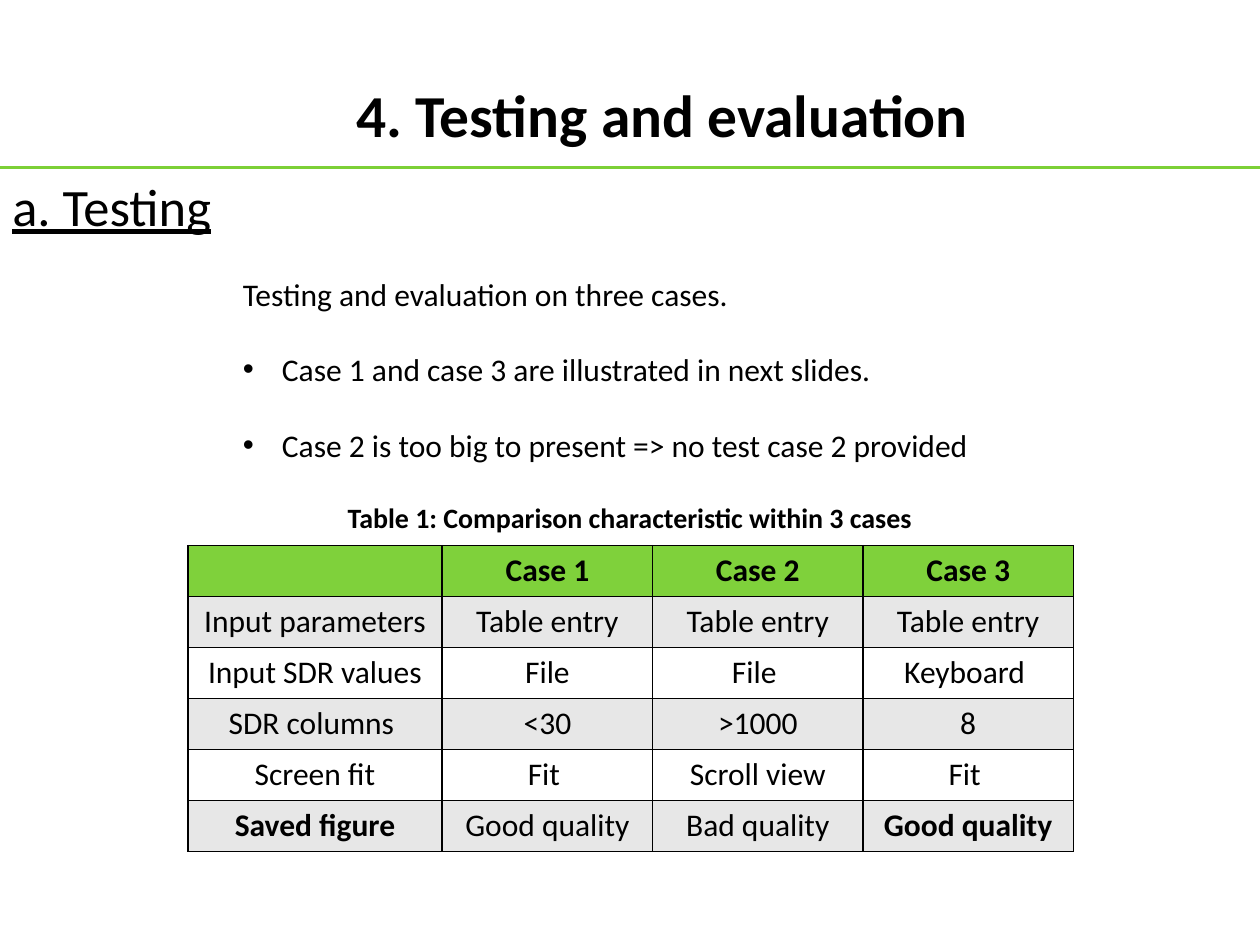
from lxml import etree
from pptx import Presentation
from pptx import util as u
from pptx.dml.color import RGBColor
from pptx.enum import shapes, text
from pptx.oxml.ns import qn

BLACK, GREEN, HEADER, GREY, WHITE = "000000", "7CD036", "7FD13B", "E7E7E7", "FFFFFF"
ROWS = [
    ["", "Case 1", "Case 2", "Case 3"],
    ["Input parameters", "Table entry", "Table entry", "Table entry"],
    ["Input SDR values", "File", "File ", "Keyboard "],
    ["SDR columns ", "<30", ">1000", "8"],
    ["Screen fit", "Fit ", "Scroll view", "Fit "],
    ["Saved figure", "Good quality", "Bad quality", "Good quality"],
]
BOLD_CELLS = {(0, 1), (0, 2), (0, 3), (5, 0), (5, 3)}


def color(value):
    return RGBColor.from_string(value)


class SlideBuilder:
    def __init__(self, slide, font="Calibri"):
        self.slide = slide
        self.font = font

    def paragraph(self, para, words, size, bold=False, underline=False, align=None):
        para.text = words
        para.alignment = align
        para.font.name = self.font
        para.font.size = u.Pt(size)
        para.font.bold = bold
        para.font.underline = underline
        para.font.color.rgb = color(BLACK)

    def line(self, x1, y1, x2, y2, stroke, width):
        rule = self.slide.shapes.add_connector(
            shapes.MSO_CONNECTOR.STRAIGHT, *map(u.Inches, (x1, y1, x2, y2)))
        rule.line.color.rgb = color(stroke)
        rule.line.width = u.Pt(width)
        etree.SubElement(rule._element.spPr, qn("a:effectLst"))

    def text(self, place, lines, size, spacing=None, bulleted=(), grow=True, **style):
        box = self.slide.shapes.add_textbox(*map(u.Inches, place))
        frame = box.text_frame
        frame.word_wrap = True
        if grow:
            frame.auto_size = text.MSO_AUTO_SIZE.SHAPE_TO_FIT_TEXT
        for index, words in enumerate(lines):
            para = frame.add_paragraph() if index else frame.paragraphs[0]
            self.paragraph(para, words, size, **style)
            para.line_spacing = spacing
            if index in bulleted:
                self.bullet(para)
        return frame

    def bullet(self, para, indent=0.31):
        props = para._p.get_or_add_pPr()
        props.set("marL", str(u.Inches(indent)))
        props.set("indent", str(-u.Inches(indent)))
        mark_font = etree.Element(qn("a:buFont"), typeface="Arial")
        mark = etree.Element(qn("a:buChar"), char="•")
        defaults = props.find(qn("a:defRPr"))
        defaults.addprevious(mark_font)
        defaults.addprevious(mark)

    def border(self, cell, stroke, width):
        props = cell._tc.get_or_add_tcPr()
        for index, side in enumerate(("lnL", "lnR", "lnT", "lnB")):
            edge = etree.Element(qn(f"a:{side}"), w=str(u.Pt(width)))
            fill = etree.SubElement(edge, qn("a:solidFill"))
            etree.SubElement(fill, qn("a:srgbClr"), val=stroke)
            props.insert(index, edge)

    def table(self, place, rows, widths, size, bold_cells):
        grid = self.slide.shapes.add_table(
            len(rows), len(widths), *map(u.Inches, place)).table
        for column, width in zip(grid.columns, widths):
            column.width = u.Inches(width)
        for r, row in enumerate(rows):
            shade = HEADER if r == 0 else GREY if r % 2 else WHITE
            for c, words in enumerate(row):
                cell = grid.cell(r, c)
                self.paragraph(cell.text_frame.paragraphs[0], words, size,
                               bold=(r, c) in bold_cells, align=text.PP_ALIGN.CENTER)
                cell.fill.solid()
                cell.fill.fore_color.rgb = color(shade)
                self.border(cell, BLACK, 1)


def main():
    deck = Presentation()
    deck.slide_width, deck.slide_height = u.Inches(10), u.Inches(7.5)
    page = SlideBuilder(deck.slides.add_slide(deck.slide_layouts[6]))
    center = text.PP_ALIGN.CENTER

    page.line(0, 1.33, 10, 1.33, GREEN, 1.5)
    title = page.text((1.67, 0.48, 7.17, 0.84), ["4. Testing and evaluation"], 34,
                      grow=False, bold=True, align=center)
    title.vertical_anchor = text.MSO_ANCHOR.MIDDLE
    title.margin_top = title.margin_bottom = u.Inches(0.1)
    page.text((0, 1.33, 1.83, 0.61), ["a. Testing"], 30, underline=True)
    page.text((1.83, 1.83, 6.33, 1.92), [
        "Testing and evaluation on three cases.",
        "Case 1 and case 3 are illustrated in next slides.",
        "Case 2 is too big to present => no test case 2 provided",
    ], 18, spacing=2.0, bulleted=(1, 2))
    page.table((1.49, 4.33, 7.02, 2.43), ROWS, [2.02] + [1.67] * 3, 18, BOLD_CELLS)
    page.text((1.46, 3.92, 7.08, 0.37),
              ["Table 1: Comparison characteristic within 3 cases"], 16,
              bold=True, align=center)
    deck.save("out.pptx")


if __name__ == "__main__":
    main()
